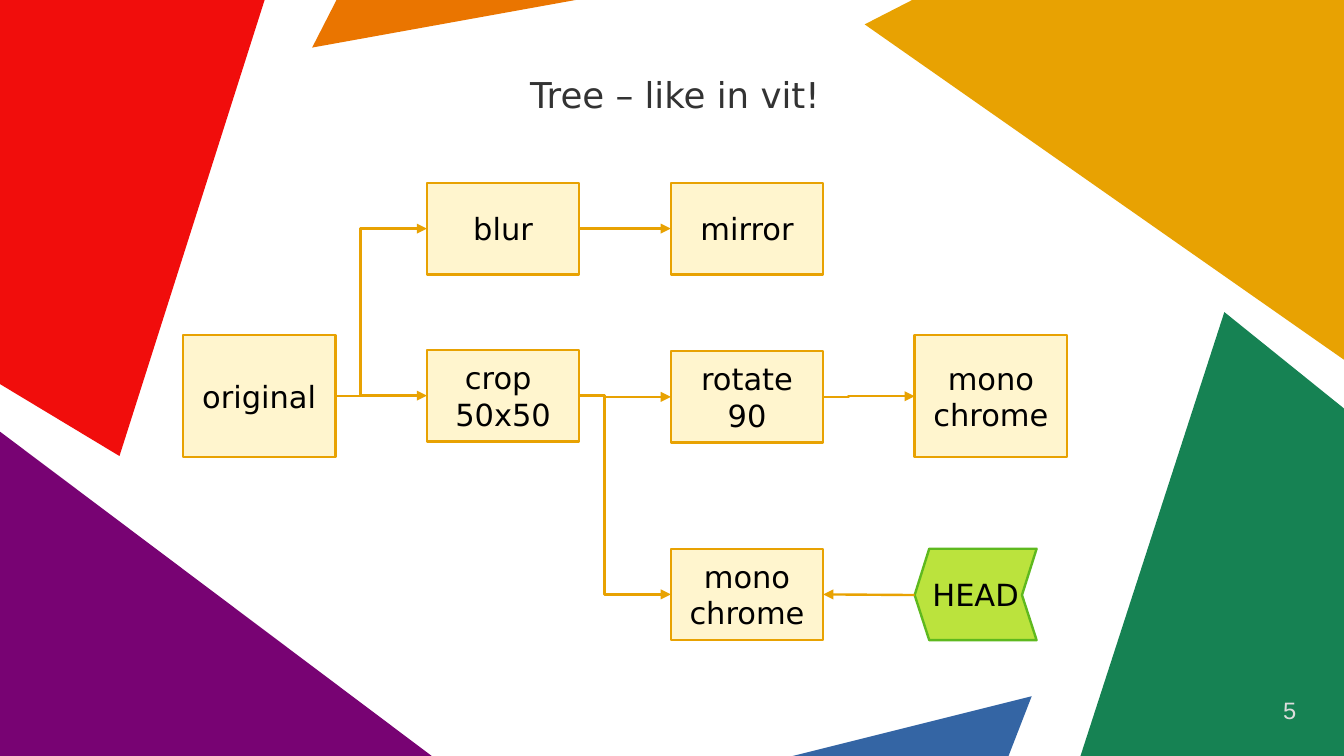
from dataclasses import dataclass

from lxml.etree import SubElement
from pptx import Presentation
from pptx.dml.color import RGBColor
from pptx.enum.shapes import MSO_CONNECTOR, MSO_SHAPE
from pptx.enum.text import MSO_ANCHOR, PP_ALIGN
from pptx.oxml.ns import qn
from pptx.shapes.autoshape import Shape
from pptx.shapes.connector import Connector
from pptx.slide import Slide
from pptx.util import Inches, Pt

WIDTH, HEIGHT = 11.02, 6.2
BOX_WIDTH = 1.25
LINE_WIDTH = 1.42
GOLD, CREAM = "E8A202", "FFF5CE"
BODY_FONT = "DejaVu Sans"
LEFT, RIGHT = 1, 3  # connection sites


@dataclass
class Facet:
    fill: str
    points: list[tuple[float, float]]


@dataclass
class Step:
    name: str
    lines: list[str]
    left: float
    top: float
    height: float = 0.75


@dataclass
class Link:
    source: str
    target: str
    kind: MSO_CONNECTOR = MSO_CONNECTOR.ELBOW


FACETS = [
    Facet("F10D0C", [(0, 0), (0, 3.15), (0.98, 3.74), (2.17, 0)]),
    Facet("EA7500", [(2.76, 0), (2.56, 0.39), (4.72, 0)]),
    Facet(GOLD, [(WIDTH, 0), (7.48, 0), (7.09, 0.2), (WIDTH, 2.95)]),
    Facet("168253", [(WIDTH, HEIGHT), (WIDTH, 3.35), (10.04, 2.56), (8.86, HEIGHT)]),
    Facet("3465A4", [(8.27, HEIGHT), (8.46, 5.71), (6.5, HEIGHT)]),
    Facet("780373", [(0, 3.54), (0, HEIGHT), (3.54, HEIGHT)]),
]

STEPS = [
    Step("original", ["original"], 1.5, 2.75, 1),
    Step("crop", ["crop ", "50x50"], 3.5, 2.87),
    Step("rotate", ["rotate", "90"], 5.5, 2.88),
    Step("rotated mono", ["mono", "chrome"], 7.5, 2.75, 1),
    Step("blur", ["blur"], 3.5, 1.5),
    Step("cropped mono", ["mono", "chrome"], 5.5, 4.5),
    Step("mirror", ["mirror"], 5.5, 1.5),
]

LINKS = [
    Link("original", "crop"),
    Link("crop", "rotate"),
    Link("rotate", "rotated mono"),
    Link("crop", "cropped mono"),
    Link("original", "blur"),
    Link("blur", "mirror", MSO_CONNECTOR.STRAIGHT),
]

HEAD_TIP = (7.5, 4.88)
HEAD_POINTS = [(8.5, 4.5), (7.62, 4.5), HEAD_TIP,
               (7.62, 5.25), (8.5, 5.25), (8.38, 4.88)]


def color(value: str) -> RGBColor:
    return RGBColor.from_string(value)


def paint(shape: Shape, fill: str, line: str | None = None) -> None:
    shape.shadow.inherit = False
    shape.fill.solid()
    shape.fill.fore_color.rgb = color(fill)
    if line:
        shape.line.color.rgb = color(line)
        shape.line.width = Pt(LINE_WIDTH)
    else:
        shape.line.fill.background()


def write(shape: Shape, lines: list[str], size: float, ink: str,
          font: str = BODY_FONT, align: PP_ALIGN = PP_ALIGN.CENTER,
          anchor: MSO_ANCHOR = MSO_ANCHOR.MIDDLE) -> None:
    frame = shape.text_frame
    frame.vertical_anchor = anchor
    for index, line in enumerate(lines):
        para = frame.add_paragraph() if index else frame.paragraphs[0]
        para.alignment = align
        span = para.add_run()
        span.text = line
        span.font.size = Pt(size)
        span.font.name = font
        span.font.color.rgb = color(ink)


def draw_outline(page: Slide, points: list[tuple[float, float]]) -> Shape:
    corners = [(Inches(x), Inches(y)) for x, y in points]
    builder = page.shapes.build_freeform(*corners[0])
    builder.add_line_segments(corners[1:], close=True)
    return builder.convert_to_shape()


def draw_label(page: Slide, left: float, top: float,
               width: float, height: float) -> Shape:
    label = page.shapes.add_textbox(
        Inches(left), Inches(top), Inches(width), Inches(height))
    frame = label.text_frame
    frame.word_wrap = True
    frame.margin_left = frame.margin_right = 0
    frame.margin_top = frame.margin_bottom = 0
    return label


def draw_step(page: Slide, step: Step) -> Shape:
    box = page.shapes.add_shape(
        MSO_SHAPE.RECTANGLE, Inches(step.left), Inches(step.top),
        Inches(BOX_WIDTH), Inches(step.height))
    paint(box, CREAM, GOLD)
    box.text_frame.word_wrap = False
    write(box, step.lines, 18, "000000")
    return box


def draw_arrow(page: Slide, kind: MSO_CONNECTOR,
               start: tuple[float, float] = (0, 0)) -> Connector:
    x, y = Inches(start[0]), Inches(start[1])
    arrow = page.shapes.add_connector(kind, x, y, x, y)
    arrow.line.color.rgb = color(GOLD)
    arrow.line.width = Pt(LINE_WIDTH)
    properties = arrow._element.spPr
    SubElement(properties.find(qn("a:ln")), qn("a:tailEnd"), type="triangle")
    SubElement(properties, qn("a:effectLst"))
    if kind == MSO_CONNECTOR.ELBOW:
        # Bend close to the source box
        guides = properties.find(qn("a:prstGeom")).get_or_add_avLst()
        SubElement(guides, qn("a:gd"), name="adj1", fmla="val 27500")
    return arrow


def main() -> None:
    deck = Presentation()
    deck.slide_width, deck.slide_height = Inches(WIDTH), Inches(HEIGHT)
    page = deck.slides.add_slide(deck.slide_layouts[6])

    # Coloured background facets
    for facet in FACETS:
        paint(draw_outline(page, facet.points), facet.fill)

    # Title
    title = draw_label(page, 1.93, 0.25, 7.21, 1.04)
    write(title, ["Tree – like in vit!"], 21, "333333")

    # Tree of steps
    boxes = {step.name: draw_step(page, step) for step in STEPS}
    for link in LINKS:
        arrow = draw_arrow(page, link.kind)
        arrow.begin_connect(boxes[link.source], RIGHT)
        arrow.end_connect(boxes[link.target], LEFT)

    # HEAD marker pointing at the current step
    head = draw_outline(page, HEAD_POINTS)
    paint(head, "BBE33D", "5EB91E")
    head.text_frame.word_wrap = False
    write(head, ["HEAD"], 18, "000000")
    pointer = draw_arrow(page, MSO_CONNECTOR.STRAIGHT, HEAD_TIP)
    pointer.end_connect(boxes["cropped mono"], RIGHT)

    # Page number
    number = draw_label(page, 8.07, 5.71, 2.56, 0.39)
    write(number, ["5"], 14, "DDDDDD", "Arial", PP_ALIGN.RIGHT, MSO_ANCHOR.TOP)

    deck.save("out.pptx")


if __name__ == "__main__":
    main()
